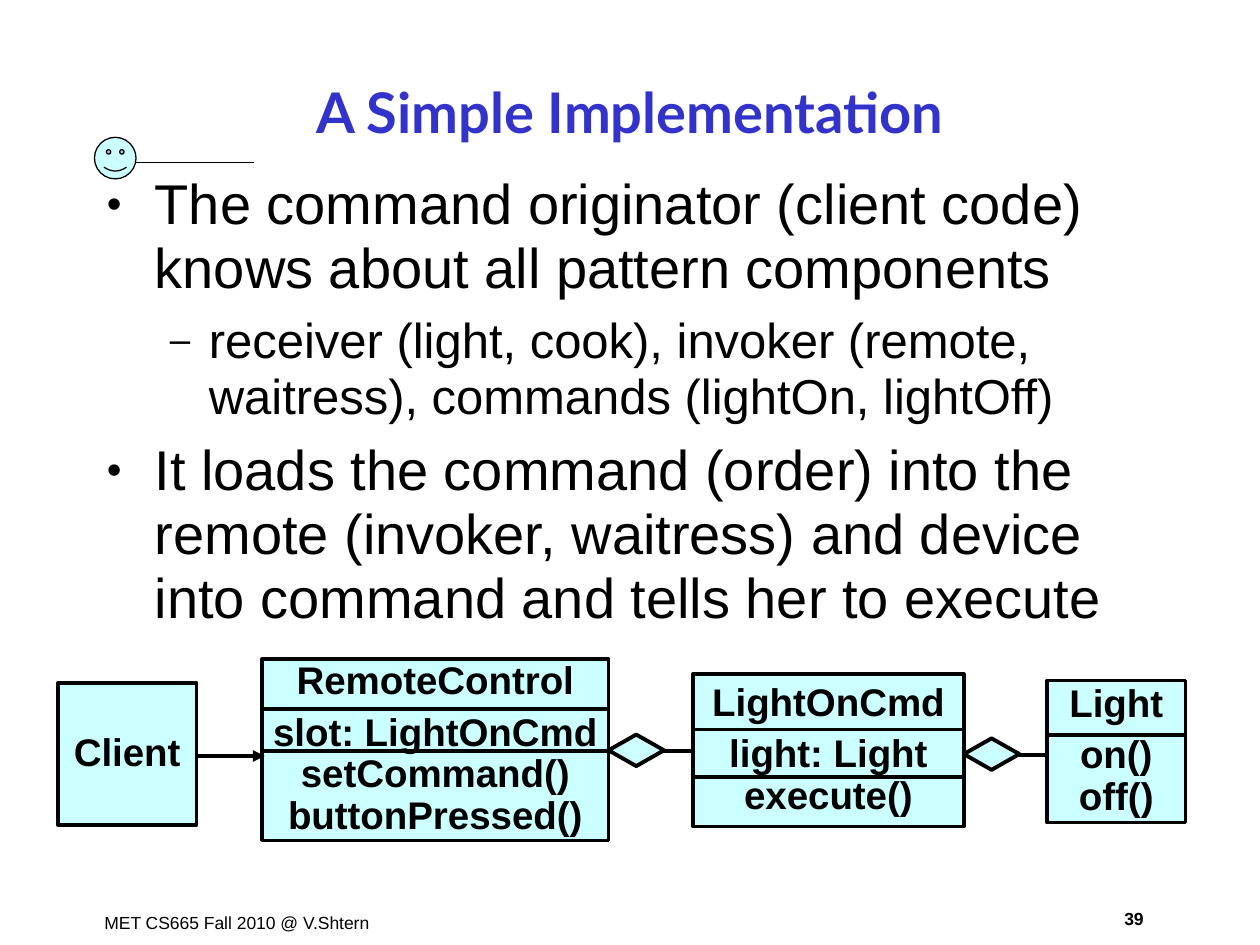
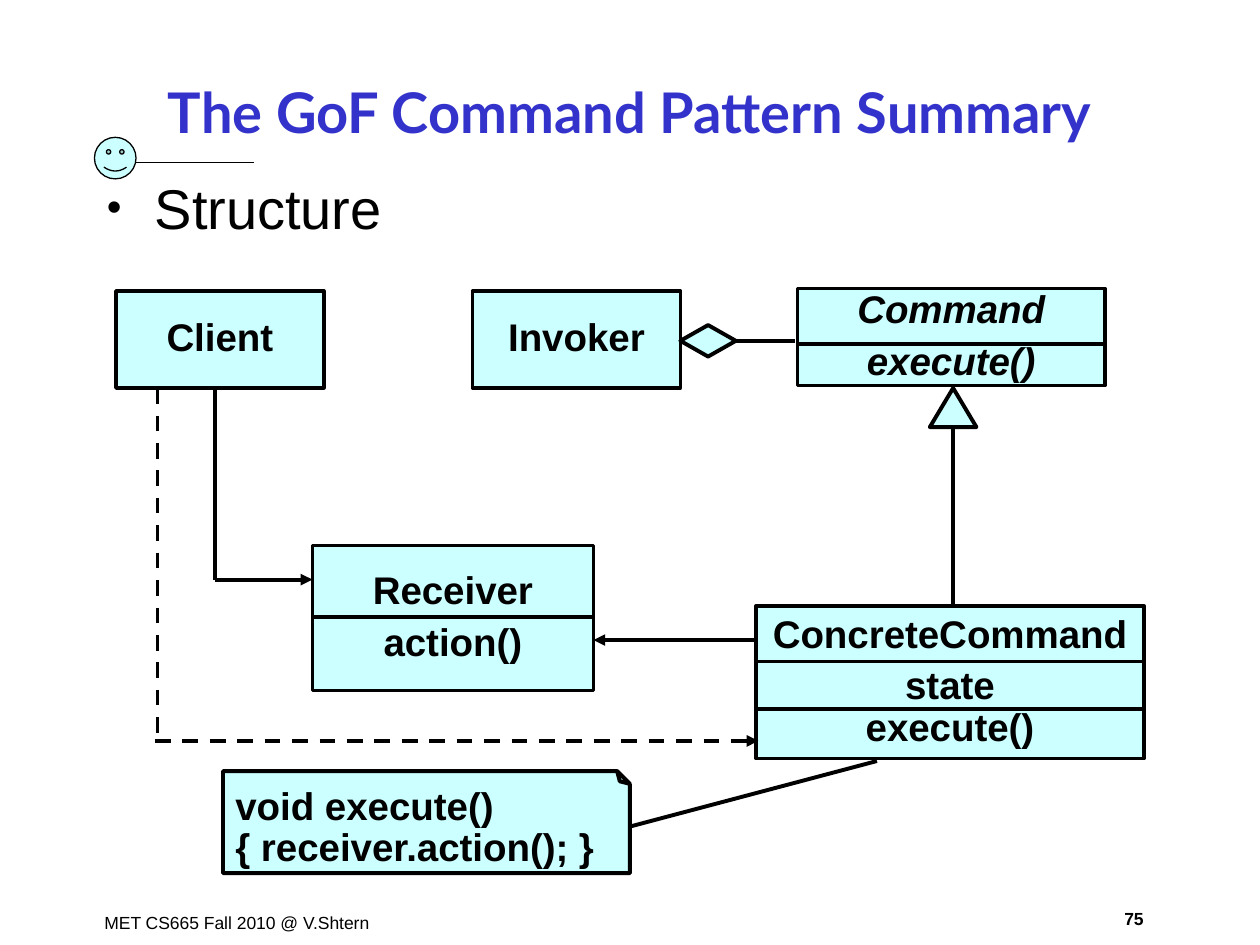
"""Build two slides on the Command pattern with class diagrams."""
from lxml import etree
from pptx import Presentation
from pptx import util as u
from pptx.dml.color import RGBColor
from pptx.enum import dml, shapes, text
from pptx.oxml.ns import qn

BLACK = RGBColor(0x00, 0x00, 0x00)
CYAN = RGBColor(0xCC, 0xFF, 0xFF)
BLUE = RGBColor(0x33, 0x33, 0xCC)
PX = u.Inches(1) // 100

FOOTER = "MET CS665 Fall 2010 @ V.Shtern"
BULLET_STYLES = [("•", 38, 38, 32, 8), ("–", 81, 31, 28, 7)]

SLIDES = [
    {
        "number": "39",
        "title": "A Simple Implementation",
        "line_spacing": 0.95,
        "bullets": [
            (0, "The command originator (client code) knows about all pattern components"),
            (1, "receiver (light, cook), invoker (remote, waitress), commands (lightOn, lightOff)"),
            (0, "It loads the command (order) into the remote (invoker, waitress) "
                "and device into command and tells her to execute"),
        ],
        "classes": [
            (["RemoteControl", "slot: LightOnCmd", "setCommand()", "buttonPressed()"],
             (208, 523, 275, 144), [563, 596], False),
            (["LightOnCmd", "light: Light", "execute()"], (550, 535, 215, 121), [579, 617], False),
            (["Light", "on()", "off()"], (831, 540, 110, 113), [583], False),
            (["Client"], (46, 542, 110, 113), [], False),
        ],
        "diamonds": [(483, 583), (765, 586)],
        "triangles": [],
        "notes": [],
        "links": [
            ((525, 596), (550, 596), ""),
            ((807, 599), (832, 599), ""),
            ((156, 600), (210, 600), "arrow"),
        ],
    },
    {
        "number": "75",
        "title": "The GoF Command Pattern Summary",
        "line_spacing": 1.0,
        "bullets": [(0, "Structure")],
        "classes": [
            (["Invoker"], (375, 231, 165, 77), [], False),
            (["ConcreteCommand", "state", "execute()"], (600, 481, 308, 121), [525, 563], False),
            (["Command", "execute()"], (633, 229, 244, 77), [273], True),
            (["Receiver", "action()"], (248, 433, 223, 115), [490], False),
            (["Client"], (92, 231, 165, 77), [], False),
        ],
        "diamonds": [(540, 258)],
        "triangles": [(738, 308, 37, 31)],
        "notes": [(["void execute()", "{ receiver.action(); }"], (177, 612, 323, 81))],
        "links": [
            ((581, 271), (631, 271), ""),
            ((756, 340), (756, 481), ""),
            ((600, 508), (471, 508), "arrow"),
            ((171, 460), (248, 460), "arrow"),
            ((171, 460), (171, 308), ""),
            ((125, 308), (125, 583), "dash"),
            ((123, 588), (602, 588), "dash arrow"),
            ((500, 656), (696, 604), ""),
        ],
    },
]


def style_text(para, size, font="Arial", color=BLACK, bold=False, italic=False):
    for span in para.runs:
        span.font.name = font
        span.font.size = u.Pt(size)
        span.font.color.rgb = color
        span.font.bold = bold
        span.font.italic = italic


def add_text(page, area, words, size, align=text.PP_ALIGN.LEFT, before=0, **style):
    box = page.shapes.add_textbox(*(n * PX for n in area))
    box.text_frame.word_wrap = True
    box.text_frame.text = words
    para = box.text_frame.paragraphs[0]
    para.alignment = align
    para.space_before = u.Pt(before)
    style_text(para, size, **style)
    return box


def add_figure(page, kind, area, weight=2.25):
    figure = page.shapes.add_shape(kind, *(n * PX for n in area))
    figure.shadow.inherit = False
    figure.fill.solid()
    figure.fill.fore_color.rgb = CYAN
    figure.line.color.rgb = BLACK
    figure.line.width = u.Pt(weight)
    return figure


def add_line(page, start, end, look="", weight=2.25):
    line = page.shapes.add_connector(
        shapes.MSO_CONNECTOR.STRAIGHT, *(n * PX for n in start + end))
    line.line.color.rgb = BLACK
    line.line.width = u.Pt(weight)
    if "dash" in look:
        line.line.dash_style = dml.MSO_LINE.DASH
    properties = line._element.spPr
    if "arrow" in look:
        etree.SubElement(properties.find(qn("a:ln")), qn("a:tailEnd"), type="triangle")
    etree.SubElement(properties, qn("a:effectLst"))


def fill_members(figure, members, align, gap=0, italic=False):
    frame = figure.text_frame
    frame.word_wrap = False
    frame.vertical_anchor = text.MSO_ANCHOR.MIDDLE
    frame.text = "\n".join(members)
    for index, para in enumerate(frame.paragraphs):
        para.alignment = align
        para.line_spacing = 0.9
        para.space_before = u.Pt(gap if index == 1 else 0)
        style_text(para, 22, bold=True, italic=italic)


def add_class(page, members, area, dividers, italic):
    left, _, width, _ = area
    figure = add_figure(page, shapes.MSO_SHAPE.RECTANGLE, area, 2)
    fill_members(figure, members, text.PP_ALIGN.CENTER, 5.5, italic)
    for height in dividers:
        add_line(page, (left, height), (left + width, height))


def add_note(page, members, area):
    note = add_figure(page, shapes.MSO_SHAPE.FOLDED_CORNER, area)
    properties = note._element.spPr
    properties.find(qn("a:xfrm")).set("flipV", "1")
    guides = properties.find(qn("a:prstGeom")).find(qn("a:avLst"))
    etree.SubElement(guides, qn("a:gd"), name="adj", fmla="val 12500")
    fill_members(note, members, text.PP_ALIGN.LEFT)
    note.text_frame._txBody.find(qn("a:bodyPr")).set("rot", "10800000")


def add_bullets(page, bullets, line_spacing):
    box = page.shapes.add_textbox(*(n * PX for n in (75, 133, 850, 576)))
    frame = box.text_frame
    frame.word_wrap = True
    frame.text = "\n".join(words for _, words in bullets)
    for para, (level, _) in zip(frame.paragraphs, bullets):
        mark, margin, hang, size, before = BULLET_STYLES[level]
        para.level = level
        para.line_spacing = line_spacing
        para.space_before = u.Pt(before)
        style_text(para, size)
        properties = para._p.get_or_add_pPr()
        properties.set("marL", str(margin * PX))
        properties.set("indent", str(-hang * PX))
        tint = etree.SubElement(properties, qn("a:buClr"))
        etree.SubElement(tint, qn("a:srgbClr"), val=str(BLACK))
        etree.SubElement(properties, qn("a:buSzPct"), val="75000")
        etree.SubElement(properties, qn("a:buFont"), typeface="Arial")
        etree.SubElement(properties, qn("a:buChar"), char=mark)


def add_frame(page, title, number):
    center = text.PP_ALIGN.CENTER
    add_text(page, (73, 719, 241, 27), FOOTER, 10, before=6.2)
    add_text(page, (873, 716, 54, 27), number, 10, center, 6.2, bold=True)
    smiley = add_figure(page, shapes.MSO_SHAPE.SMILEY_FACE, (75, 109, 33, 33), 0.75)
    smiley.adjustments[0] = 0.093
    add_line(page, (108, 129), (202, 129), weight=1)
    heading = add_text(page, (75, 48, 850, 80), title, 32, center,
                       font="Lato", color=BLUE, bold=True)
    heading.text_frame.vertical_anchor = text.MSO_ANCHOR.MIDDLE


def main():
    deck = Presentation()
    deck.slide_width, deck.slide_height = 1000 * PX, 750 * PX
    for content in SLIDES:
        page = deck.slides.add_slide(deck.slide_layouts[6])
        add_frame(page, content["title"], content["number"])
        add_bullets(page, content["bullets"], content["line_spacing"])
        for item in content["classes"]:
            add_class(page, *item)
        for corner in content["diamonds"]:
            add_figure(page, shapes.MSO_SHAPE.FLOWCHART_DECISION, corner + (44, 25))
        for area in content["triangles"]:
            add_figure(page, shapes.MSO_SHAPE.FLOWCHART_EXTRACT, area)
        for item in content["notes"]:
            add_note(page, *item)
        for link in content["links"]:
            add_line(page, *link)
    deck.save("out.pptx")


if __name__ == "__main__":
    main()
